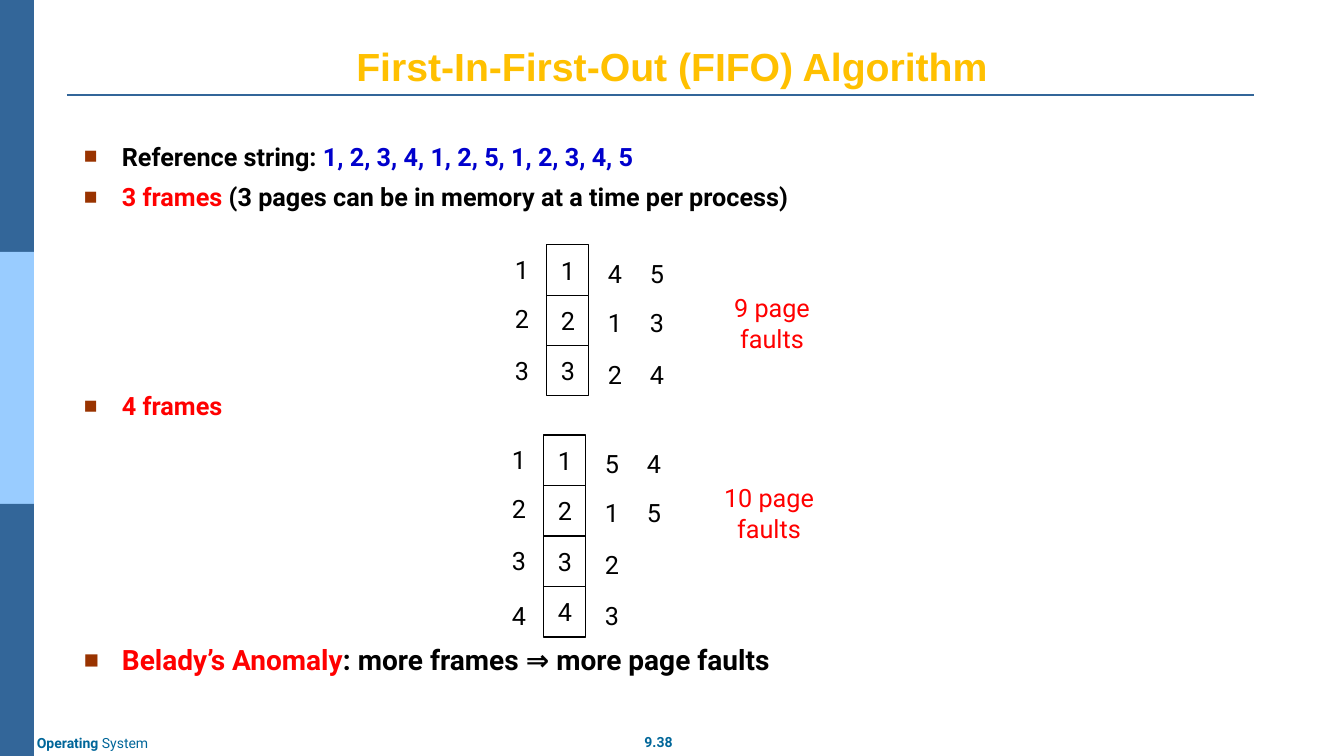
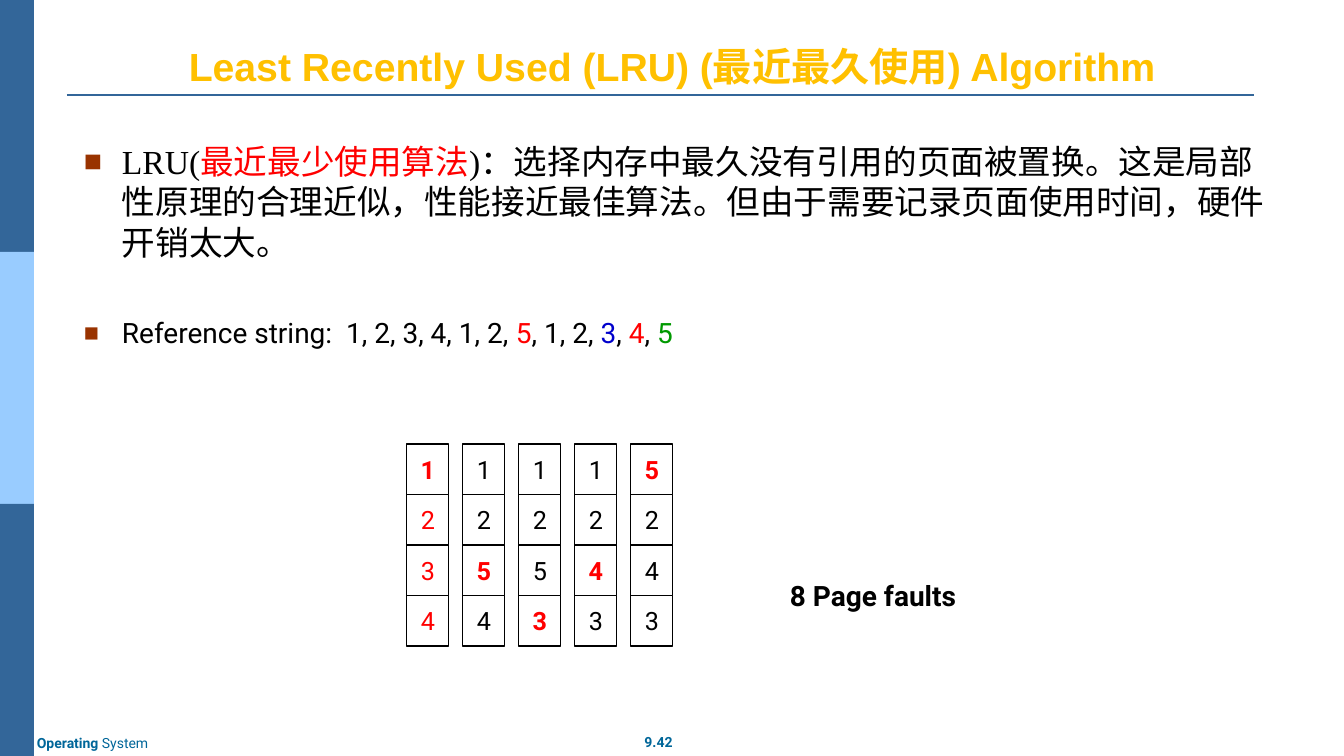
from dataclasses import dataclass

from lxml.etree import SubElement
from pptx import Presentation
from pptx.dml.color import RGBColor as RGB
from pptx.enum.shapes import MSO_CONNECTOR as CONN, MSO_SHAPE as SHAPE
from pptx.enum.text import MSO_ANCHOR as ANCHOR, PP_ALIGN as ALIGN
from pptx.oxml.ns import qn
from pptx.util import Pt

PX = 914400 / 100.8  # EMU in one px


@dataclass(frozen=True)
class Theme:
    band: str = "336699"
    band_light: str = "99CCFF"
    title: str = "FFC000"
    footer: str = "006699"
    bullet: str = "993300"
    ink: str = "000000"
    paper: str = "FFFFFF"
    red: str = "FF0000"
    blue: str = "0000CC"
    green: str = "009900"
    title_pt: int = 28
    lead_pt: int = 24
    large_pt: int = 20
    body_pt: int = 18
    footer_pt: int = 10
    title_font: str = "Arial"
    body_font: str = "Roboto"
    serif_font: str = "Times New Roman"


T = Theme()


def px(*lengths):
    return [round(n * PX) for n in lengths]


# Text
def add_run(p, text, color=T.ink, size=T.body_pt, bold=False, font=T.body_font):
    r = p.add_run()
    r.text = text
    r.font.name, r.font.size, r.font.bold = font, Pt(size), bold
    r.font.color.rgb = RGB.from_string(color)


def add_text(slide, box, runs, align=ALIGN.LEFT, anchor=ANCHOR.TOP, wrap=True, **style):
    """Text box with one paragraph; each run is (text, options)."""
    tf = slide.shapes.add_textbox(*px(*box)).text_frame
    tf.word_wrap, tf.vertical_anchor = wrap, anchor
    p = tf.paragraphs[0]
    p.alignment = align
    for text, options in runs:
        add_run(p, text, **{**style, **options})


def set_bullet(p, hang=38):
    pPr = p._p.get_or_add_pPr()
    indent = px(hang)[0]
    pPr.set("marL", str(indent))
    pPr.set("indent", str(-indent))
    SubElement(SubElement(pPr, qn("a:buClr")), qn("a:srgbClr"), val=T.bullet)
    SubElement(pPr, qn("a:buSzPct"), val="90000")
    SubElement(pPr, qn("a:buFont"), typeface=T.title_font)
    SubElement(pPr, qn("a:buChar"), char="■")


def add_bullets(slide, box, items):
    """Each item is (gap above in px, style, runs)."""
    tf = slide.shapes.add_textbox(*px(*box)).text_frame
    tf.word_wrap = True
    for i, (gap, style, runs) in enumerate(items):
        p = tf.add_paragraph() if i else tf.paragraphs[0]
        set_bullet(p)
        if gap:
            p.space_before = px(gap)[0]
        for text, color in runs:
            add_run(p, text, color, **style)


# Shapes
def add_rect(slide, box, fill, line=None):
    sp = slide.shapes.add_shape(SHAPE.RECTANGLE, *px(*box))
    sp.shadow.inherit = False
    sp.fill.solid()
    sp.fill.fore_color.rgb = RGB.from_string(fill)
    if line:
        sp.line.color.rgb = RGB.from_string(line)
        sp.line.width = Pt(0.75)
    else:
        sp.line.fill.background()
    return sp


def add_frames(slide, box, cells):
    """Stack of equal memory frames; each cell is (digit, options)."""
    x, y, w, h = box
    row = h / len(cells)
    for i, (digit, options) in enumerate(cells):
        sp = add_rect(slide, (x, y + i * row, w, row), T.paper, T.ink)
        tf = sp.text_frame
        tf.word_wrap, tf.vertical_anchor = False, ANCHOR.MIDDLE
        p = tf.paragraphs[0]
        p.alignment = ALIGN.CENTER
        add_run(p, digit, **options)


def add_fifo_trace(slide, box, before, frames, after, faults):
    """Frames with the pages before and after them, and the fault count."""
    x, y = box[:2]
    add_frames(slide, box, [(d, {}) for d in frames])
    centres = (24, 73, 125, 180)
    lowered = (28, 77, 129, 180)
    columns = [(-25, before, centres)]
    columns += [(68 + 42 * i, digits, lowered) for i, digits in enumerate(after)]
    for dx, digits, rows in columns:
        for digit, dy in zip(digits, rows):
            add_text(slide, (x + dx - 17, y + dy - 20, 34, 40), [(digit, {})],
                     ALIGN.CENTER, ANCHOR.MIDDLE, wrap=False)
    add_text(slide, (x + 143, y + 43, 164, 70), [(faults, {"color": T.red})],
             ALIGN.CENTER, ANCHOR.MIDDLE)


# Shared slide parts: side bands, rule, footer, title
def add_base(prs, title, number):
    slide = prs.slides.add_slide(prs.slide_layouts[6])
    for i, color in enumerate((T.band, T.band_light, T.band)):
        add_rect(slide, (0, 252 * i, 34, 252), color)
    rule = slide.shapes.add_connector(CONN.STRAIGHT, *px(67, 95, 1254, 95))
    rule.line.color.rgb = RGB.from_string(T.band)
    rule.line.width = Pt(1.5)
    SubElement(rule._element.spPr, qn("a:effectLst"))
    footer = {"color": T.footer, "size": T.footer_pt, "wrap": False}
    add_text(slide, (634, 729, 49, 27), [(number, {"bold": True})], ALIGN.CENTER, **footer)
    add_text(slide, (27, 730, 142, 27),
             [("Operating ", {"bold": True}), ("System", {})], **footer)
    add_text(slide, (67, 30, 1210, 64), [(title, {})], ALIGN.CENTER, ANCHOR.BOTTOM,
             color=T.title, size=T.title_pt, bold=True, font=T.title_font)
    return slide


BODY = (74, 136, 1210, 499)


def add_fifo_slide(prs):
    slide = add_base(prs, "First-In-First-Out (FIFO) Algorithm", "9.38")
    bold = {"bold": True}
    add_bullets(slide, BODY, [
        (0, bold, [("Reference string: ", T.ink),
                   ("1, 2, 3, 4, 1, 2, 5, 1, 2, 3, 4, 5", T.blue)]),
        (10, bold, [("3 frames", T.red),
                    (" (3 pages can be in memory at a time per process)", T.ink)]),
        (179, bold, [("4 frames", T.red)]),
        (222, {"bold": True, "size": T.large_pt},
         [("Belady’s Anomaly", T.red), (": more frames ⇒ more page faults", T.ink)]),
    ])
    add_fifo_trace(slide, (547, 245, 42, 151), "123", "123", ("412", "534"), "9 page faults")
    add_fifo_trace(slide, (544, 435, 42, 202), "1234", "1234", ("5123", "45"), "10 page faults")


def add_lru_slide(prs):
    slide = add_base(prs, "Least Recently Used (LRU) (最近最久使用) Algorithm", "9.42")
    add_bullets(slide, BODY, [
        (0, {"size": T.lead_pt, "font": T.serif_font},
         [("LRU(", T.ink), ("最近最少使用算法", T.red),
          (")：选择内存中最久没有引用的页面被置换。这是局部性原理的合理近似，"
           "性能接近最佳算法。但由于需要记录页面使用时间，硬件开销太大。", T.ink)]),
        (54, {"size": T.large_pt},
         [("Reference string:  1, 2, 3, 4, 1, 2, ", T.ink), ("5", T.red),
          (", 1, 2, ", T.ink), ("3", T.blue), (", ", T.ink), ("4", T.red),
          (", ", T.ink), ("5", T.green)]),
    ])
    # Frame states: digits, faulting pages in red, newest page in bold
    states = [("1234", "1234", "1"), ("1254", "5", "5"), ("1253", "3", "3"),
              ("1243", "4", "4"), ("5243", "5", "5")]
    for i, (digits, red, bold) in enumerate(states):
        cells = [(d, {"color": T.red if d in red else T.ink, "bold": d in bold})
                 for d in digits]
        add_frames(slide, (407 + 56 * i, 444, 42, 202), cells)
    add_text(slide, (710, 574, 326, 43), [("8 Page faults", {})], ALIGN.CENTER,
             size=T.large_pt, bold=True)


def main():
    prs = Presentation()
    prs.slide_width, prs.slide_height = px(1344, 756)
    add_fifo_slide(prs)
    add_lru_slide(prs)
    prs.save("out.pptx")


if __name__ == "__main__":
    main()
